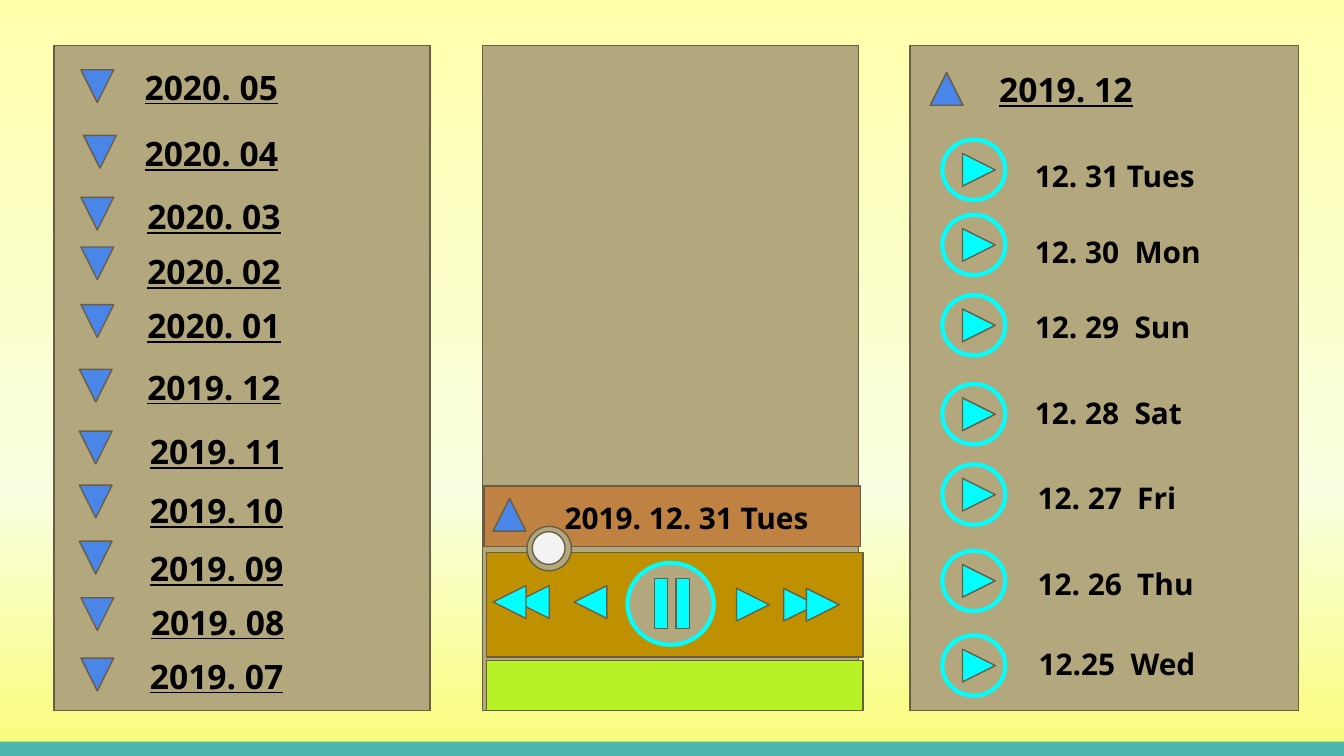
from dataclasses import dataclass

from lxml import etree
from pptx import Presentation
from pptx.dml.color import RGBColor
from pptx.enum.shapes import MSO_SHAPE
from pptx.enum.text import MSO_ANCHOR, MSO_AUTO_SIZE, PP_ALIGN
from pptx.oxml.ns import qn
from pptx.util import Cm, Pt

RECT, OVAL, TRI = MSO_SHAPE.RECTANGLE, MSO_SHAPE.OVAL, MSO_SHAPE.FLOWCHART_MERGE
TOP, LEFT, FIXED = MSO_ANCHOR.TOP, PP_ALIGN.LEFT, MSO_AUTO_SIZE.NONE
DOWN, BACK, UP, NEXT = 0, 90, 180, 270


@dataclass(frozen=True)
class Theme:
    font: str = "Open Sans"
    ink: str = "000000"
    edge: str = "695D46"
    panel: str = "B3A77D"
    blue: str = "4A86E8"
    cyan: str = "00FFFF"
    lime: str = "B6F226"
    gold: str = "BF9000"
    brown: str = "BF8242"
    knob: str = "F3F3F3"
    teal: str = "4DB6AC"
    sky: tuple = ((0, "FFFFAB"), (65, "F9FFE1"), (100, "F9FC78"))
    head: int = 18
    label: int = 16
    thin: float = 0.75
    ring: float = 2.25


T = Theme()
SIDE = 0.62  # triangle size
INSET = 0.25
ROW = (5.54, 0.89)
DAY = (3.71, 0.94)

# label, marker left and top, text left and top, in the panel
MONTHS = [
    ("2020. 05", 0.51, 0.46, 1.3, 0.15),
    ("2020. 04", 0.56, 1.7, 1.3, 1.4),
    ("2020. 03", 0.51, 2.87, 1.35, 2.59),
    ("2020. 02", 0.51, 3.81, 1.35, 3.63),
    ("2020. 01", 0.51, 4.9, 1.35, 4.65),
    ("2019. 12", 0.48, 6.12, 1.35, 5.82),
    ("2019. 11", 0.48, 7.29, 1.4, 7.04),
    ("2019. 10", 0.48, 8.31, 1.4, 8.15),
    ("2019. 09", 0.48, 9.37, 1.4, 9.25),
    ("2019. 08", 0.51, 10.44, 1.42, 10.26),
    ("2019. 07", 0.51, 11.58, 1.4, 11.28),
]

# label, button top, text left and top, in the panel
DAYS = [
    ("12. 31 Tues", 1.78, 2.11, 1.88),
    ("12. 30  Mon", 3.2, 2.11, 3.3),
    ("12. 29  Sun", 4.72, 2.11, 4.72),
    ("12. 28  Sat", 6.4, 2.11, 6.35),
    ("12. 27  Fri", 7.92, 2.16, 7.95),
    ("12. 26  Thu", 9.55, 2.16, 9.58),
    ("12.25  Wed", 11.15, 2.18, 11.1),
]


def apply(obj, fmt):
    for name, value in fmt.items():
        setattr(obj, name, value)


def draw(slide, kind, x, y, w, h, fill, edge=T.edge, width=T.thin, turn=0):
    shape = slide.shapes.add_shape(kind, Cm(x), Cm(y), Cm(w), Cm(h))
    shape.shadow.inherit = False
    shape.rotation = turn
    shape.fill.solid()
    shape.fill.fore_color.rgb = RGBColor.from_string(fill)
    if edge:
        shape.line.color.rgb = RGBColor.from_string(edge)
        shape.line.width = Pt(width)
    else:
        shape.line.fill.background()


def mark(slide, x, y, turn, fill):
    draw(slide, TRI, x, y, SIDE, SIDE, fill, turn=turn)


def ring(slide, x, y, w, h):
    draw(slide, OVAL, x, y, w, h, T.panel, T.cyan, T.ring)


def panel(slide, box):
    draw(slide, RECT, *box, T.panel)


def style(frame, size):
    apply(frame, dict(word_wrap=True, auto_size=FIXED, vertical_anchor=TOP,
                      margin_left=Cm(INSET), margin_right=Cm(INSET),
                      margin_top=Cm(INSET), margin_bottom=Cm(INSET)))
    para = frame.paragraphs[0]
    para.alignment = LEFT
    for run in para.runs:
        apply(run.font, dict(name=T.font, size=Pt(size), bold=True))
        run.font.color.rgb = RGBColor.from_string(T.ink)


def text(slide, x, y, w, h, words, size):
    frame = slide.shapes.add_textbox(Cm(x), Cm(y), Cm(w), Cm(h)).text_frame
    para = frame.paragraphs[0]
    for word in words:
        para.add_run().text = word
    style(frame, size)
    return para


def month(slide, x, y, label):
    para = text(slide, x, y, *ROW, (" ", label), T.head)
    para.runs[-1].font.underline = True


def ground(slide):
    """Gradient background and the bar along the foot."""
    slide.background.fill.gradient()
    grad = slide.element.find(".//" + qn("a:gradFill"))
    stops = grad.find(qn("a:gsLst"))
    for old in list(stops):
        stops.remove(old)
    for pos, color in T.sky:
        stop = etree.SubElement(stops, qn("a:gs"), pos=str(pos * 1000))
        etree.SubElement(stop, qn("a:srgbClr"), val=color)
    grad.find(qn("a:lin")).set("ang", "5400000")
    draw(slide, RECT, 0, 14.02, 25.4, 0.27, T.teal, None)


def months(slide, box):
    """Closed list of months."""
    panel(slide, box)
    x, y = box[:2]
    for label, mx, my, tx, ty in MONTHS:
        mark(slide, x + mx, y + my, DOWN, T.blue)
        month(slide, x + tx, y + ty, label)


def days(slide, box):
    """Open month with a play button for each day."""
    panel(slide, box)
    x, y = box[:2]
    mark(slide, x + 0.38, y + 0.51, UP, T.blue)
    month(slide, x + 1.27, y + 0.2, "2019. 12")
    for label, top, tx, ty in DAYS:
        ring(slide, x + 0.61, y + top, 1.19, 1.14)
        mark(slide, x + 0.99, y + top + 0.26, NEXT, T.cyan)
        text(slide, x + tx, y + ty, *DAY, (label,), T.label)


def player(slide, box):
    """Player with its title strip and controls."""
    panel(slide, box)
    x, y, w = box[:3]
    # Strips
    for left, top, high, fill in ((0.08, 11.63, 0.94, T.lime),
                                  (0.08, 9.58, 1.98, T.gold),
                                  (0.03, 8.33, 1.14, T.brown)):
        draw(slide, RECT, x + left, y + top, w, high, fill)
    # Buttons
    ring(slide, x + 2.74, y + 9.78, 1.63, 1.55)
    for left in (4.8, 5.69, 6.12):
        mark(slide, x + left, y + 10.26, NEXT, T.cyan)
    for left in (1.73, 0.64, 0.2):
        mark(slide, x + left, y + 10.21, BACK, T.cyan)
    for left in (3.25, 3.66):
        draw(slide, RECT, x + left, y + 10.08, 0.25, 0.94, T.cyan)
    # Slider knob
    draw(slide, OVAL, x + 0.84, y + 9.09, 0.84, 0.84, T.panel)
    draw(slide, OVAL, x + 0.94, y + 9.19, SIDE, SIDE, T.knob)
    # Title, brought in front of its strip
    title = slide.shapes.title
    apply(title, dict(left=Cm(x + 1.3), top=Cm(y + 8.33),
                      width=Cm(5.54), height=Cm(1.14)))
    title.text_frame.text = "2019. 12. 31 Tues"
    style(title.text_frame, T.label)
    slide.shapes.element.append(title.element)
    mark(slide, x + 0.2, y + 8.56, UP, T.blue)


def main():
    deck = Presentation()
    apply(deck, dict(slide_width=Cm(25.4), slide_height=Cm(14.29)))
    slide = deck.slides.add_slide(deck.slide_layouts[5])
    ground(slide)
    months(slide, (1.02, 0.86, 7.11, 12.57))
    days(slide, (17.2, 0.86, 7.34, 12.57))
    player(slide, (9.12, 0.86, 7.11, 12.57))
    deck.save("out.pptx")


if __name__ == "__main__":
    main()
